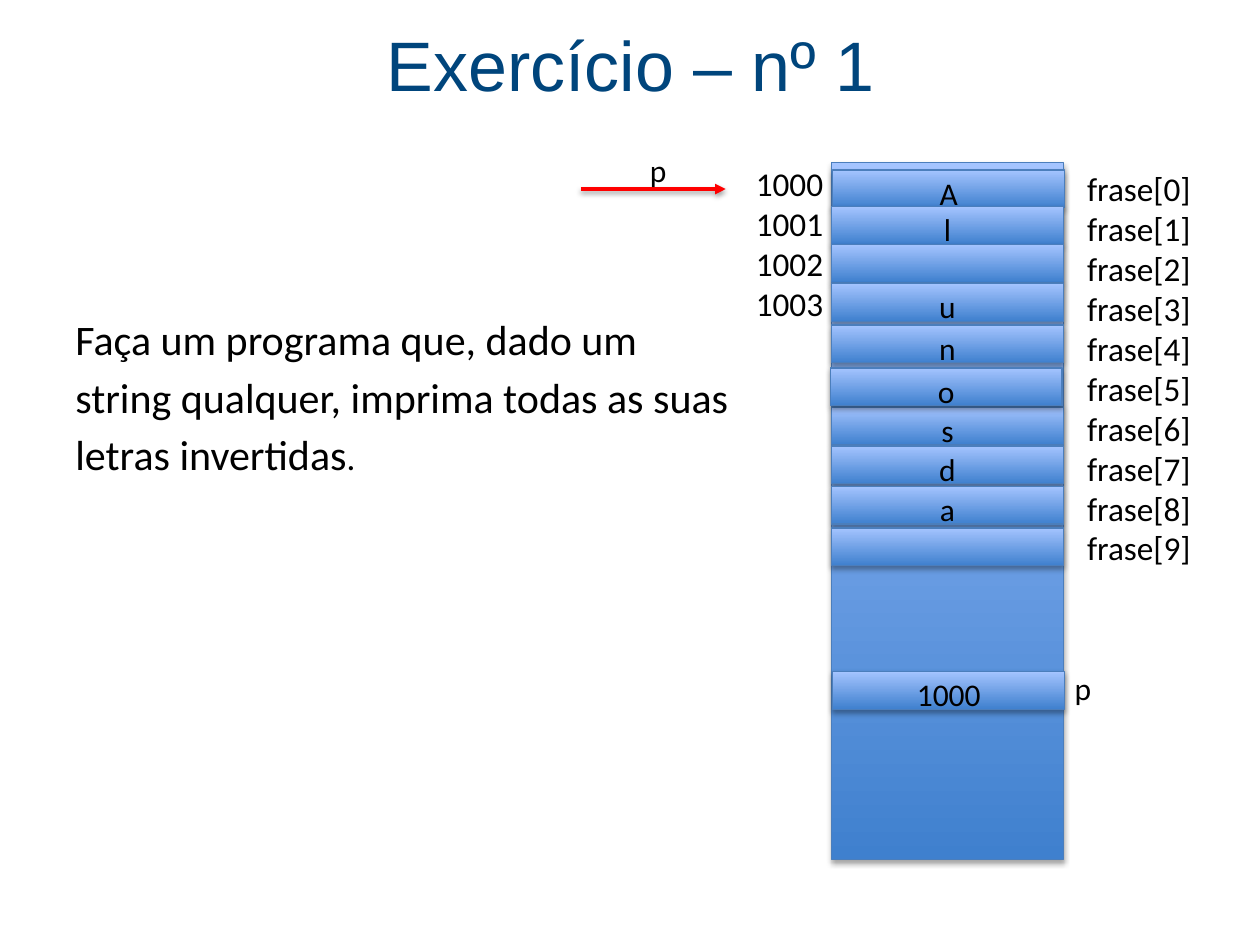
import lxml.etree
import pptx
import pptx.dml.color
import pptx.enum.shapes
import pptx.enum.text
import pptx.oxml.ns
import pptx.util

Inches, Pt = pptx.util.Inches, pptx.util.Pt
ALIGN, ANCHOR = pptx.enum.text.PP_ALIGN, pptx.enum.text.MSO_ANCHOR
qn = pptx.oxml.ns.qn

THEME = {
    "title_font": "Arial", "body_font": "Calibri",
    "title": "00457C", "text": "000000", "arrow": "FF0000",
    "cell_bottom": "3F80CE", "cell_top": "A4C4FF", "border": "4B7EBC", "shadow": "000000",
    "title_size": 40, "body_size": 24, "label_size": 19, "cell_size": 18, "stop_size": 20,
}

TITLE = "Exercício – nº 1"
TASK = ["Faça um programa que, dado um", "string qualquer, imprima todas as suas", "letras invertidas."]
ADDRESSES = [str(1000 + offset) for offset in range(4)]
ELEMENTS = [f"frase[{index}]" for index in range(10)]
POINTER = "p"
MEMORY = (6.6, 1.29, 1.84, 5.53)
CELL_HEIGHT = 0.3
CELLS = [
    ("A", 6.61, 1.35), ("l", 6.6, 1.64), ("", 6.6, 1.94), ("u", 6.6, 2.25), ("n", 6.6, 2.58),
    ("s", 6.6, 3.23), ("o", 6.59, 2.92), ("d", 6.6, 3.54), ("a", 6.6, 3.86), ("", 6.6, 4.19),
    (ADDRESSES[0], 6.61, 5.33),
]


def rgb(name):
    return pptx.dml.color.RGBColor.from_string(THEME[name])


def style_text(frame, size, font="body_font", color="text", align=ALIGN.LEFT, before=0):
    for paragraph in frame.paragraphs:
        paragraph.alignment = align
        paragraph.space_before = Pt(before)
        for run in paragraph.runs:
            run.font.name = THEME[font]
            run.font.size = Pt(THEME[size])
            run.font.color.rgb = rgb(color)


def add_text(slide, box, lines, size, anchor=ANCHOR.TOP, **style):
    frame = slide.shapes.add_textbox(*map(Inches, box)).text_frame
    frame.word_wrap = True
    frame.vertical_anchor = anchor
    frame.text = "\n".join(lines)
    style_text(frame, size, **style)
    return frame


def add_shadow(shape, opacity, distance):
    effects = lxml.etree.SubElement(shape._element.spPr, qn("a:effectLst"))
    shadow = lxml.etree.SubElement(
        effects, qn("a:outerShdw"), blurRad=str(Pt(3.1)), dist=str(Pt(distance)),
        dir="5400000", rotWithShape="0")
    color = lxml.etree.SubElement(shadow, qn("a:srgbClr"), val=THEME["shadow"])
    lxml.etree.SubElement(color, qn("a:alpha"), val=str(opacity * 1000))


def add_block(slide, box, content=""):
    block = slide.shapes.add_shape(pptx.enum.shapes.MSO_SHAPE.RECTANGLE, *map(Inches, box))
    block.fill.gradient()
    block.fill.gradient_angle = 90
    for stop, position, color in zip(block.fill.gradient_stops, (0, 1), ("cell_bottom", "cell_top")):
        stop.position = position
        stop.color.rgb = rgb(color)
    block.line.color.rgb = rgb("border")
    block.line.width = Pt(0.75)
    add_shadow(block, 35, 1.8)
    if content:
        frame = block.text_frame
        frame.margin_top = Inches(0.06)
        frame.margin_bottom = 0
        frame.vertical_anchor = ANCHOR.MIDDLE
        frame.text = content
        style_text(frame, "cell_size", align=ALIGN.CENTER)


def add_arrow(slide, start, end):
    arrow = slide.shapes.add_connector(
        pptx.enum.shapes.MSO_CONNECTOR.STRAIGHT, *map(Inches, start + end))
    arrow.line.color.rgb = rgb("arrow")
    arrow.line.width = Pt(2)
    lxml.etree.SubElement(arrow._element.spPr.find(qn("a:ln")), qn("a:tailEnd"), type="triangle")
    add_shadow(arrow, 38, 1.6)


def main():
    """Build the slide that shows a string laid out in memory."""
    deck = pptx.Presentation()
    deck.slide_width, deck.slide_height = Inches(10), Inches(7.5)
    slide = deck.slides.add_slide(deck.slide_layouts[6])

    task = add_text(slide, (0.5, 2.44, 5.6, 1.6), TASK, "body_size", before=4)
    closing = task.paragraphs[-1]
    ending = closing.runs[0]
    ending.text = TASK[-1][:-1]
    full_stop = closing.add_run()
    full_stop.text = TASK[-1][-1]
    style_text(task, "body_size", before=4)
    full_stop.font.size = Pt(THEME["stop_size"])

    add_text(slide, (0.35, 0.03, 9.31, 0.95), [TITLE], "title_size", anchor=ANCHOR.MIDDLE,
             font="title_font", color="title", align=ALIGN.CENTER)

    add_block(slide, MEMORY)
    for content, left, top in CELLS:
        add_block(slide, (left, top, MEMORY[2], CELL_HEIGHT), content)

    add_text(slide, (8.53, 1.29, 1.1, 3.3), ELEMENTS, "label_size")
    add_text(slide, (5.9, 1.25, 0.85, 1.72), ADDRESSES, "label_size")
    add_arrow(slide, (4.61, 1.5), (5.76, 1.5))
    for left, top in ((5.06, 1.15), (8.43, 5.26)):
        add_text(slide, (left, top, 0.35, 0.4), [POINTER], "cell_size")

    deck.save("out.pptx")


if __name__ == "__main__":
    main()
